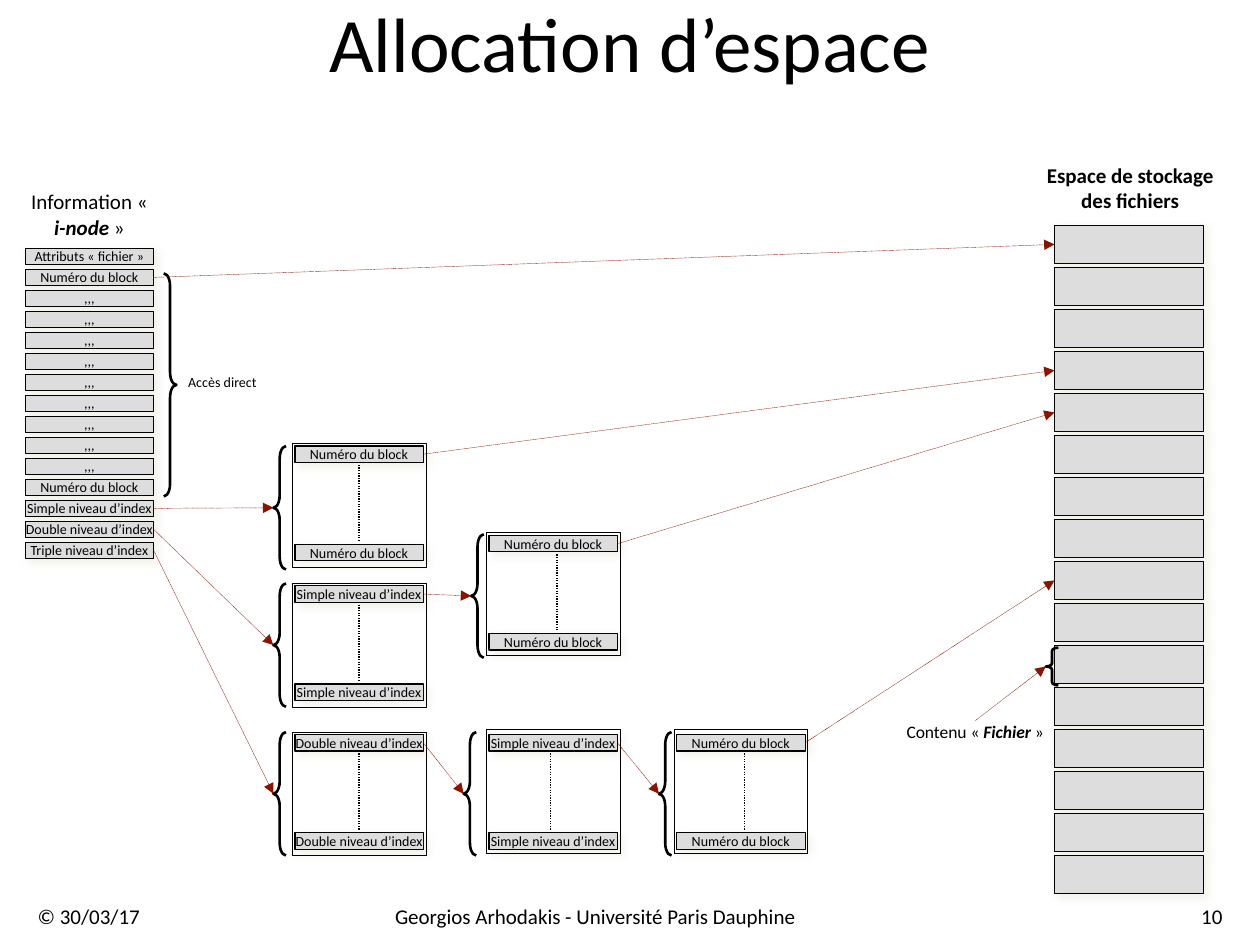
from lxml import etree
from pptx import Presentation
from pptx import util as u
from pptx.dml.color import RGBColor
from pptx.enum import dml, shapes, text
from pptx.oxml.ns import qn

BLACK = RGBColor(0x00, 0x00, 0x00)
GREY = RGBColor(0xDD, 0xDD, 0xDD)
RED = RGBColor(0x89, 0x14, 0x01)
SHADOW = RGBColor(0xEE, 0xEC, 0xE1)

GEO = shapes.MSO_SHAPE
CENTER, LEFT, RIGHT = text.PP_ALIGN.CENTER, text.PP_ALIGN.LEFT, text.PP_ALIGN.RIGHT
FIT = text.MSO_AUTO_SIZE.SHAPE_TO_FIT_TEXT

prs = Presentation()
prs.slide_width, prs.slide_height = u.Inches(10), u.Inches(7.5)
s = prs.slides.add_slide(prs.slide_layouts[6])


def add(at, runs=(), size=8, geo=None, fill=None, width=0.75, align=CENTER, inset=0, wrap=True):
    at = [u.Inches(v) for v in at]
    if geo is None:
        sp = s.shapes.add_textbox(*at)
    else:
        sp = s.shapes.add_shape(geo, *at)
        sp.shadow.inherit = False
        sp.line.color.rgb = BLACK
        sp.line.width = u.Pt(width)
        if fill is None:
            sp.fill.background()
        else:
            sp.fill.solid()
            sp.fill.fore_color.rgb = fill
            effects = sp.element.spPr.find(qn("a:effectLst"))
            shadow = etree.SubElement(effects, qn("a:outerShdw"), blurRad="63500", dist="38100", dir="2700000")
            color = etree.SubElement(shadow, qn("a:srgbClr"), val=str(SHADOW))
            etree.SubElement(color, qn("a:alpha"), val="75000")
    if runs:
        tf = sp.text_frame
        margin = u.Inches(inset)
        frame = {"word_wrap": wrap, "vertical_anchor": text.MSO_ANCHOR.MIDDLE,
                 "margin_left": margin, "margin_right": margin, "margin_top": 0, "margin_bottom": 0}
        if not inset:
            frame["auto_size"] = FIT
        for name, value in frame.items():
            setattr(tf, name, value)
        p = tf.paragraphs[0]
        p.alignment = align
        for words, style in runs:
            r = p.add_run()
            r.text = words
            r.font.color.rgb = BLACK
            for name, value in {"name": "Calibri", "size": u.Pt(size), **style}.items():
                setattr(r.font, name, value)
    return sp


def connect(x1, y1, x2, y2, color, width, arrow):
    c = s.shapes.add_connector(shapes.MSO_CONNECTOR.STRAIGHT, *[u.Inches(v) for v in (x1, y1, x2, y2)])
    c.line.color.rgb = color
    c.line.width = u.Pt(width)
    c.line.dash_style = dml.MSO_LINE.ROUND_DOT
    if arrow:
        etree.SubElement(c.line._get_or_add_ln(), qn("a:tailEnd"), type="triangle")
    etree.SubElement(c._element.spPr, qn("a:effectLst"))
    return c


STRONG = {"bold": True, "italic": True}
add((0.2, 7.17, 1.18, 0.2), [("© 30/03/17", {})], 12, align=LEFT, inset=0.1)
add((1.38, 7.17, 6.69, 0.2), [("Georgios Arhodakis - Université Paris Dauphine", {})], 12, inset=0.1)
add((9.41, 7.17, 0.39, 0.2), [("10", {})], 12, align=RIGHT, inset=0.1)
add((0, 0, 10, 0.67), [("Allocation d’espace", {})], 44)
add((8.3, 1.28, 1.34, 0.42), [("Espace de stockage des fichiers", {"bold": True})], 12)
add((0.24, 1.5, 0.94, 0.4), [("Information « ", {}), ("i-node", STRONG), (" »", {})], 12)
content = add((7.19, 5.72, 1.1, 0.17), [("Contenu « ", {}), ("Fichier", STRONG), (" »", {})], 10)
add((1.49, 2.97, 0.55, 0.13), [("Accès direct", {})], wrap=False)

blocks = [add((8.37, 1.79 + i / 3, 1.18, 0.3), geo=GEO.FLOWCHART_PROCESS, fill=GREY) for i in range(16)]

BLOCK, SIMPLE, DOUBLE = "Numéro du block", "Simple niveau d’index", "Double niveau d’index"
labels = ["Attributs « fichier »", BLOCK] + [",,,"] * 9 + [BLOCK, SIMPLE, DOUBLE, "Triple niveau d’index"]
inode = [add((0.2, 1.97 + i / 6, 1.02, 0.13), [(label, {})], geo=GEO.FLOWCHART_PROCESS, fill=GREY, wrap=False)
         for i, label in enumerate(labels)]

tables = [
    (BLOCK, 2.34, 3.54, 3.52, 2.17, 3.54, 2.85),
    (SIMPLE, 2.34, 4.65, 4.63, 2.17, 4.63, 2.85),
    (BLOCK, 3.88, 4.25, 4.22, 3.74, 4.24, 4.42),
    (DOUBLE, 2.34, 5.83, 5.81, 2.17, 5.81, 2.85),
    (SIMPLE, 3.88, 5.83, 5.79, 3.68, 5.81, 4.37),
    (BLOCK, 5.37, 5.83, 5.79, 5.23, 5.81, 5.91),
]
firsts, braces = [], []
for label, x, y, frame_y, brace_x, brace_y, dots_x in tables:
    first, last = [add((x, top, 1.02, 0.13), [(label, {})], geo=GEO.FLOWCHART_PROCESS, fill=GREY, wrap=False)
                   for top in (y, y + 0.78)]
    add((x - 0.02, frame_y, 1.06, 0.98), geo=GEO.RECTANGLE, width=0.25)
    brace = add((brace_x, brace_y, 0.1, 0.98), geo=GEO.LEFT_BRACE, width=1.5)
    brace.adjustments[0] = 0.99
    connect(dots_x, y + 0.15, dots_x, y + 0.76, BLACK, 0.75, False)
    firsts.append(first)
    braces.append(brace)

direct = add((1.3, 2.17, 0.1, 1.77), geo=GEO.RIGHT_BRACE, width=1.5)
direct.adjustments[0] = 0.99
file_brace = add((8.3, 5.14, 0.1, 0.3), geo=GEO.LEFT_BRACE, width=1.5)
file_brace.adjustments[0] = 0.25

links = [
    (inode[1], 3, blocks[0]),
    (inode[12], 3, braces[0]),
    (inode[13], 3, braces[1]),
    (inode[14], 3, braces[3]),
    (firsts[0], 3, blocks[3]),
    (firsts[1], 3, braces[2]),
    (firsts[2], 3, blocks[4]),
    (firsts[3], 3, braces[4]),
    (firsts[4], 3, braces[5]),
    (firsts[5], 3, blocks[8]),
    (content, 0, file_brace),
]
for start, side, end in links:
    c = connect(0, 0, 1, 1, RED, 0.25, True)
    c.begin_connect(start, side)
    c.end_connect(end, 1)

prs.save("out.pptx")
